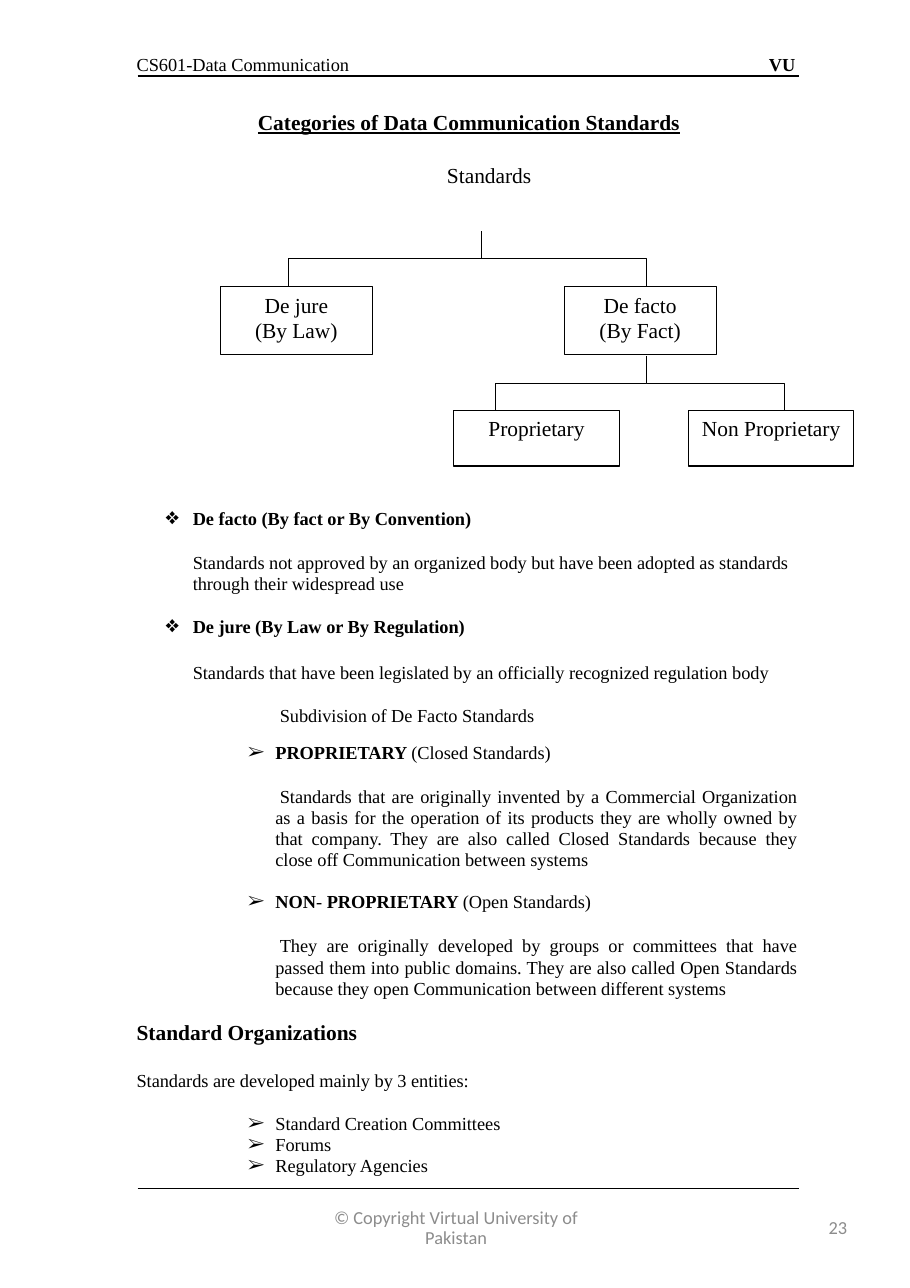
from dataclasses import dataclass

from lxml.etree import SubElement
from pptx import Presentation
from pptx.dml.color import RGBColor
from pptx.enum.shapes import MSO_CONNECTOR as Link, MSO_SHAPE as Preset
from pptx.enum.text import MSO_ANCHOR as Anchor, PP_ALIGN as Align
from pptx.oxml.ns import qn
from pptx.util import Inches, Pt


@dataclass(frozen=True)
class Theme:
    ink: RGBColor = RGBColor(0x00, 0x00, 0x00)
    muted: RGBColor = RGBColor(0x8C, 0x8C, 0x8C)
    serif: str = "Times New Roman"
    sans: str = "Calibri"
    body: float = 12
    body_line: float = 13.8
    heading: float = 14
    heading_line: float = 16.1
    footer_line: float = 13.1
    rule: float = 0.75
    tracking: str = "-2"


@dataclass(frozen=True)
class Style:
    """Paragraph layout: indents in inches, spacing in points."""
    left: float = 0
    first: float = 0
    before: float = 0
    bullet: str = ""
    align: Align = Align.LEFT
    heading: bool = False


class Page:
    def __init__(self, slide, theme):
        self.shapes = slide.shapes
        self.theme = theme

    def format_run(self, run, size, bold=False, underline=False, muted=False):
        font = run.font
        font.name = self.theme.sans if muted else self.theme.serif
        font.size = Pt(size)
        font.bold = bold
        font.underline = underline
        font.color.rgb = self.theme.muted if muted else self.theme.ink
        if not muted:
            run._r.get_or_add_rPr().set("spc", self.theme.tracking)

    def frame(self, shape, top=0, anchor=Anchor.TOP):
        frame = shape.text_frame
        frame.word_wrap = True
        frame.margin_left = frame.margin_right = frame.margin_bottom = 0
        frame.margin_top = Inches(top)
        frame.vertical_anchor = anchor
        return frame

    def text_box(self, left, top, width, height, anchor=Anchor.TOP):
        box = self.shapes.add_textbox(
            Inches(left), Inches(top), Inches(width), Inches(height))
        return self.frame(box, anchor=anchor)

    def label(self, words, at, align=Align.LEFT, **look):
        paragraph = self.text_box(*at).paragraphs[0]
        paragraph.text = words
        paragraph.alignment = align
        self.format_run(paragraph.runs[0], self.theme.body, **look)

    def footer(self, words, at, align):
        paragraph = self.text_box(*at, anchor=Anchor.MIDDLE).paragraphs[0]
        paragraph.text = words
        paragraph.alignment = align
        paragraph.line_spacing = Pt(self.theme.footer_line)
        self.format_run(paragraph.runs[0], self.theme.body, muted=True)

    def outline(self, shape):
        shape.line.color.rgb = self.theme.ink
        shape.line.width = Pt(self.theme.rule)

    def rule(self, left, y, right):
        rule = self.shapes.add_connector(
            Link.STRAIGHT, Inches(left), Inches(y), Inches(right), Inches(y))
        self.outline(rule)
        SubElement(rule._element.spPr, qn("a:effectLst"))

    def bent_line(self, *points):
        start, *rest = [(Inches(x), Inches(y)) for x, y in points]
        builder = self.shapes.build_freeform(*start)
        builder.add_line_segments(rest, close=False)
        bend = builder.convert_to_shape()
        bend.shadow.inherit = False
        bend.fill.background()
        self.outline(bend)

    def branch(self, stem, top, left, right):
        """A stem that bends to the left child, and an arm to the right one."""
        bar, bottom = top + 0.25, top + 0.5
        self.bent_line((stem, top), (stem, bar), (left, bar), (left, bottom))
        self.bent_line((stem, bar), (right, bar), (right, bottom))

    def node(self, words, left, top, width, height, inset):
        node = self.shapes.add_shape(
            Preset.RECTANGLE, Inches(left), Inches(top),
            Inches(width), Inches(height))
        node.shadow.inherit = False
        node.fill.background()
        self.outline(node)
        paragraph = self.frame(node, top=inset).paragraphs[0]
        paragraph.text = words
        paragraph.alignment = Align.CENTER
        paragraph.line_spacing = Pt(self.theme.heading_line)
        for run in paragraph.runs:
            self.format_run(run, self.theme.heading)

    def prose(self, at, passages):
        """Each passage is a style followed by (words, bold) parts."""
        theme = self.theme
        frame = self.text_box(*at)
        for index, (style, *parts) in enumerate(passages):
            paragraph = frame.add_paragraph() if index else frame.paragraphs[0]
            layout = paragraph._p.get_or_add_pPr()
            layout.set("marL", str(Inches(style.left)))
            layout.set("indent", str(Inches(style.first)))
            if style.bullet:
                SubElement(layout, qn("a:buFont")).set("typeface", theme.serif)
                SubElement(layout, qn("a:buChar")).set("char", style.bullet)
            paragraph.alignment = style.align
            paragraph.space_before = Pt(style.before if index else 0)
            paragraph.line_spacing = Pt(
                theme.heading_line if style.heading else theme.body_line)
            size = theme.heading if style.heading else theme.body
            for words, bold in parts:
                for row, piece in enumerate(words.split("\v")):
                    if row:
                        paragraph.add_line_break()
                    run = paragraph.add_run()
                    run.text = piece
                    self.format_run(run, size, bold)

    def title(self, words, root, at):
        """The underlined title, with the root of the tree below it."""
        frame = self.text_box(*at)
        frame.text = f"{words}\n{root}"
        heading, top_node = frame.paragraphs
        self.format_run(heading.runs[0], self.theme.heading, True, True)
        top_node.alignment = Align.CENTER
        top_node.space_before = Pt(17.7)
        top_node._p.get_or_add_pPr().set("marL", str(Inches(0.34)))
        self.format_run(top_node.runs[0], self.theme.heading)


TOPIC = Style(0.51, -0.25, 14.3, "❖")
MEANING = Style(0.51, 0, 15)
LEGAL = Style(0.51, 0, 16.4)
SUBDIVISION = Style(1.3, 0, 14.2)
FIRST_KIND = Style(1.26, -0.25, 10.3, "➢")
NEXT_KIND = Style(1.26, -0.25, 13.7, "➢")
DETAIL = Style(1.26, 0.04, 15, align=Align.JUSTIFY)
SECTION = Style(before=13.6, heading=True)
INTRO = Style(before=16.8)
FIRST_ENTITY = Style(1.26, -0.25, 14.3, "➢")
ENTITY = Style(1.26, -0.25, 0, "➢")

PASSAGES = [
    (TOPIC, ("De facto (By fact or By Convention)", True)),
    (MEANING, ("Standards not approved by an organized body but have been "
               "adopted as standards through their widespread use", False)),
    (TOPIC, ("De jure (By Law or By Regulation)", True)),
    (LEGAL, ("Standards that have been legislated by an officially "
             "recognized regulation body", False)),
    (SUBDIVISION, ("Subdivision of De Facto Standards", False)),
    (FIRST_KIND, ("PROPRIETARY ", True), ("(Closed Standards)", False)),
    (DETAIL, ("Standards that are originally invented by a Commercial "
              "Organization as a basis for the operation of its products they "
              "are wholly owned by that company. They are also called Closed "
              "Standards because they\vclose off Communication between "
              "systems", False)),
    (NEXT_KIND, ("NON", True), ("- ", False), ("PROPRIETARY ", True),
     ("(Open Standards)", False)),
    (DETAIL, ("They are originally developed by groups or committees that "
              "have passed them into public domains. They are also called "
              "Open Standards because they open Communication between "
              "different systems", False)),
    (SECTION, ("Standard Organizations", True)),
    (INTRO, ("Standards are developed mainly by 3 entities:", False)),
    (FIRST_ENTITY, ("Standard Creation Committees", False)),
    (ENTITY, ("Forums", False)),
    (ENTITY, ("Regulatory Agencies", False)),
]


def main():
    deck = Presentation()
    deck.slide_width, deck.slide_height = Inches(8.26), Inches(11.69)
    page = Page(deck.slides.add_slide(deck.slide_layouts[6]), Theme())

    # Header and the rules that bound the page
    page.label("CS601-Data Communication", (1.24, 0.48, 2.5, 0.21))
    page.label("VU", (6.72, 0.48, 0.5, 0.21), Align.RIGHT, bold=True)
    for edge in (0.69, 10.79):
        page.rule(1.25, edge, 7.25)

    # Title and tree of standards
    page.title("Categories of Data Communication Standards", "Standards",
               (2.34, 0.99, 3.86, 0.72))
    for category, left in (("De jure\v(By Law)", 2), ("De facto\v(By Fact)", 5.12)):
        page.node(category, left, 2.6, 1.38, 0.62, inset=0.06)
    for kind, left in (("Proprietary", 4.12), ("Non Proprietary", 6.25)):
        page.node(kind, left, 3.73, 1.5, 0.5, inset=0.05)
    page.branch(4.37, 2.1, 2.62, 5.87)
    page.branch(5.87, 3.23, 4.5, 7.12)

    # Explanations and organizations
    page.prose((1.24, 4.61, 6, 6.03), PASSAGES)

    # Footer
    page.footer("© Copyright Virtual University of Pakistan",
                (2.84, 10.84, 2.6, 0.62), Align.CENTER)
    page.footer("23", (5.84, 10.84, 1.85, 0.62), Align.RIGHT)

    deck.save("out.pptx")


if __name__ == "__main__":
    main()
